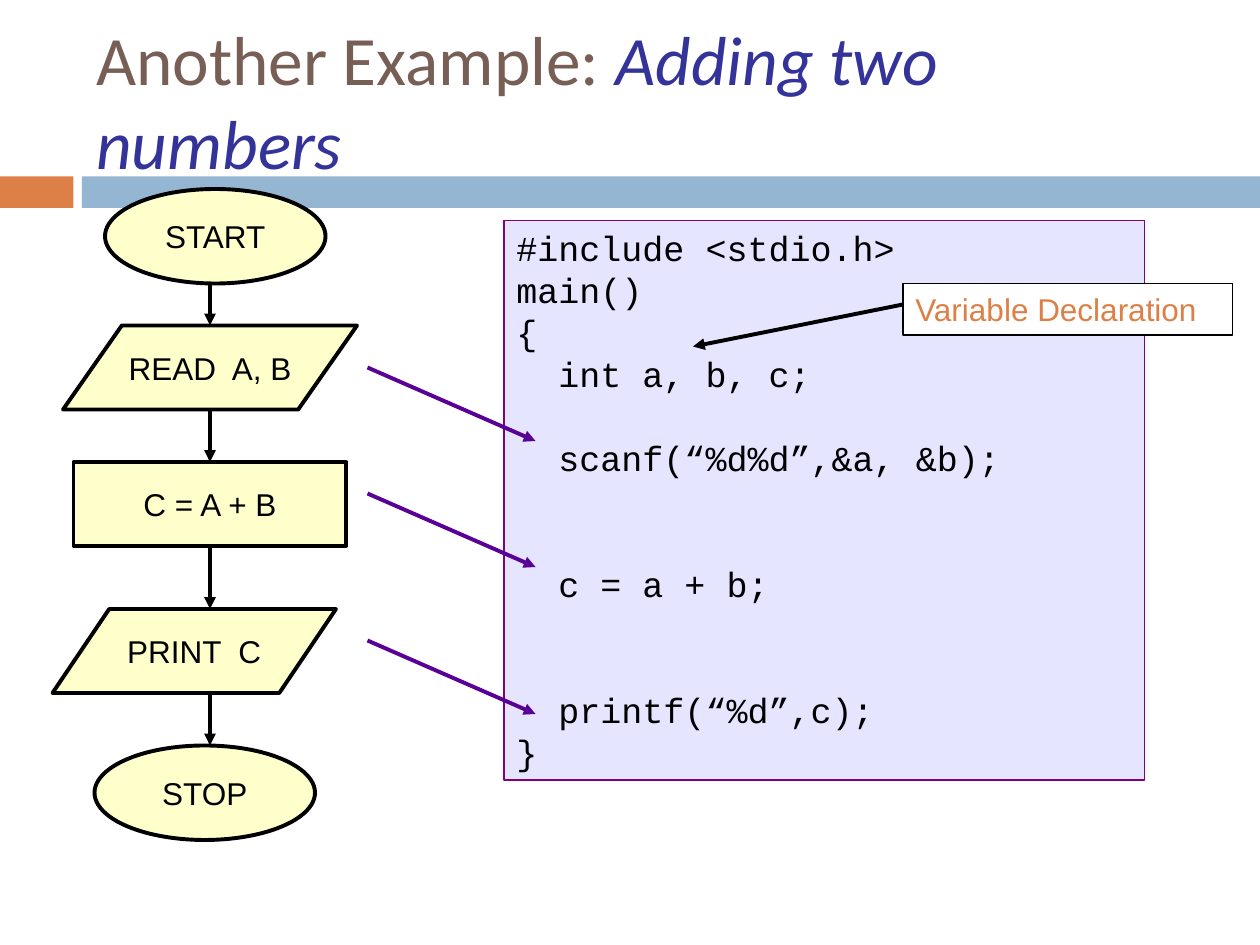
from dataclasses import dataclass

from lxml.etree import SubElement
from pptx import Presentation
from pptx.dml.color import RGBColor
from pptx.enum.shapes import MSO_CONNECTOR, MSO_SHAPE
from pptx.enum.text import MSO_ANCHOR, PP_ALIGN
from pptx.oxml.ns import qn
from pptx.util import Inches, Pt


@dataclass(frozen=True)
class Theme:
    heading: str = "775F55"
    topic: str = "333399"
    accent: str = "DD8047"
    band: str = "94B6D2"
    step: str = "FFFFCC"
    ink: str = "000000"
    code_fill: str = "E5E5FF"
    code_edge: str = "800080"
    link: str = "590096"
    paper: str = "FFFFFF"
    heading_size: float = 39.6
    label_size: float = 18
    code_size: float = 20
    code_pitch: float = 24
    heavy: float = 2.25
    thin: float = 0.75


THEME = Theme()
COLUMNS, ROWS = 120, 90
WIDTH, HEIGHT = Inches(10), Inches(7.5)
AXIS = 20

BANDS = [(0, 7, THEME.accent), (7.8, 112.2, THEME.band)]
STEPS = [
    ("START", MSO_SHAPE.OVAL, 10, 18, 21, 9),
    ("READ  A, B", MSO_SHAPE.FLOWCHART_DATA, 6, 31, 28, 8),
    ("C = A + B", MSO_SHAPE.RECTANGLE, 7, 44, 26, 8),
    ("PRINT  C", MSO_SHAPE.FLOWCHART_DATA, 5, 58, 27, 8),
    ("STOP", MSO_SHAPE.OVAL, 9, 71, 21, 9),
]
CODE = """#include <stdio.h>
main()
{
  int a, b, c;

  scanf(“%d%d”,&a, &b);


  c = a + b;


  printf(“%d”,c);
}"""
LINKS = [(35, 42), (47, 54), (61, 68)]


def col(count):
    return round(WIDTH * count / COLUMNS)


def row(count):
    return round(HEIGHT * count / ROWS)


def place(left, top, width, height):
    return col(left), row(top), col(width), row(height)


def apply(target, values):
    for name, value in values.items():
        setattr(target, name, value)


def write(paragraph, words, size, font, color, **style):
    run = paragraph.add_run()
    run.text = words
    apply(run.font, {"size": Pt(size), "name": font, **style})
    run.font.color.rgb = RGBColor.from_string(color)


def add_block(slide, kind, cell, fill, edge=None, weight=THEME.thin):
    block = slide.shapes.add_shape(kind, *place(*cell))
    block.shadow.inherit = False
    block.fill.solid()
    block.fill.fore_color.rgb = RGBColor.from_string(fill)
    if edge:
        block.line.color.rgb = RGBColor.from_string(edge)
        block.line.width = Pt(weight)
    else:
        block.line.fill.background()
    return block


def add_title(slide):
    title = slide.shapes.add_textbox(*place(8, 3, 107, 13)).text_frame
    apply(title, {"word_wrap": True, "vertical_anchor": MSO_ANCHOR.MIDDLE})
    line = title.paragraphs[0]
    write(line, "Another Example: ", THEME.heading_size, "Calibri", THEME.heading)
    write(line, "Adding two numbers", THEME.heading_size, "Calibri", THEME.topic,
          italic=True)


def add_label(block, words, color, align):
    frame = block.text_frame
    apply(frame, {"word_wrap": False, "vertical_anchor": MSO_ANCHOR.MIDDLE})
    frame.paragraphs[0].alignment = align
    write(frame.paragraphs[0], words, THEME.label_size, "Arial", color)


def add_step(slide, words, kind, *cell):
    step = add_block(slide, kind, cell, THEME.step, THEME.ink, THEME.heavy)
    add_label(step, words, THEME.ink, PP_ALIGN.CENTER)
    return step


def add_arrow(slide, start, end, color):
    arrow = slide.shapes.add_connector(
        MSO_CONNECTOR.STRAIGHT, col(start[0]), row(start[1]), col(end[0]), row(end[1]))
    arrow.line.color.rgb = RGBColor.from_string(color)
    arrow.line.width = Pt(THEME.heavy)
    SubElement(arrow.line._get_or_add_ln(), qn("a:tailEnd"), type="triangle")
    SubElement(arrow._element.spPr, qn("a:effectLst"))
    return arrow


def add_flowchart(slide):
    steps = [add_step(slide, *step) for step in STEPS]
    for index, (upper, lower) in enumerate(zip(STEPS, STEPS[1:])):
        arrow = add_arrow(slide, (AXIS, upper[3] + upper[5]), (AXIS, lower[3]), THEME.ink)
        if upper[1] == MSO_SHAPE.RECTANGLE:
            arrow.begin_connect(steps[index], 2)
        if lower[1] == MSO_SHAPE.RECTANGLE:
            arrow.end_connect(steps[index + 1], 0)


def add_code(slide):
    listing = add_block(slide, MSO_SHAPE.RECTANGLE, (48, 21, 61, 53.3),
                        THEME.code_fill, THEME.code_edge).text_frame
    apply(listing, {"word_wrap": True, "vertical_anchor": MSO_ANCHOR.TOP})
    paragraph, gap = listing.paragraphs[0], 0
    for number, words in enumerate(CODE.splitlines()):
        if not words:
            gap += THEME.code_pitch
            continue
        if number:
            paragraph = listing.add_paragraph()
            paragraph.space_before = Pt(gap)
        apply(paragraph, {"alignment": PP_ALIGN.LEFT,
                          "line_spacing": Pt(THEME.code_pitch)})
        write(paragraph, words, THEME.code_size, "Courier New", THEME.ink)
        gap = 0


def add_callout(slide):
    callout = add_block(slide, MSO_SHAPE.RECTANGLE, (86, 27, 31.4, 4.9),
                        THEME.paper, THEME.ink)
    add_label(callout, "Variable Declaration", THEME.accent, PP_ALIGN.LEFT)
    add_arrow(slide, (86, 29), (66, 33), THEME.ink)


def main():
    deck = Presentation()
    apply(deck, {"slide_width": WIDTH, "slide_height": HEIGHT})
    slide = deck.slides.add_slide(deck.slide_layouts[6])
    for left, width, color in BANDS:
        add_block(slide, MSO_SHAPE.RECTANGLE, (left, 16.8, width, 3), color)
    add_title(slide)
    add_flowchart(slide)
    add_code(slide)
    add_callout(slide)
    for start, end in LINKS:
        add_arrow(slide, (35, start), (51, end), THEME.link)
    deck.save("out.pptx")


if __name__ == "__main__":
    main()
